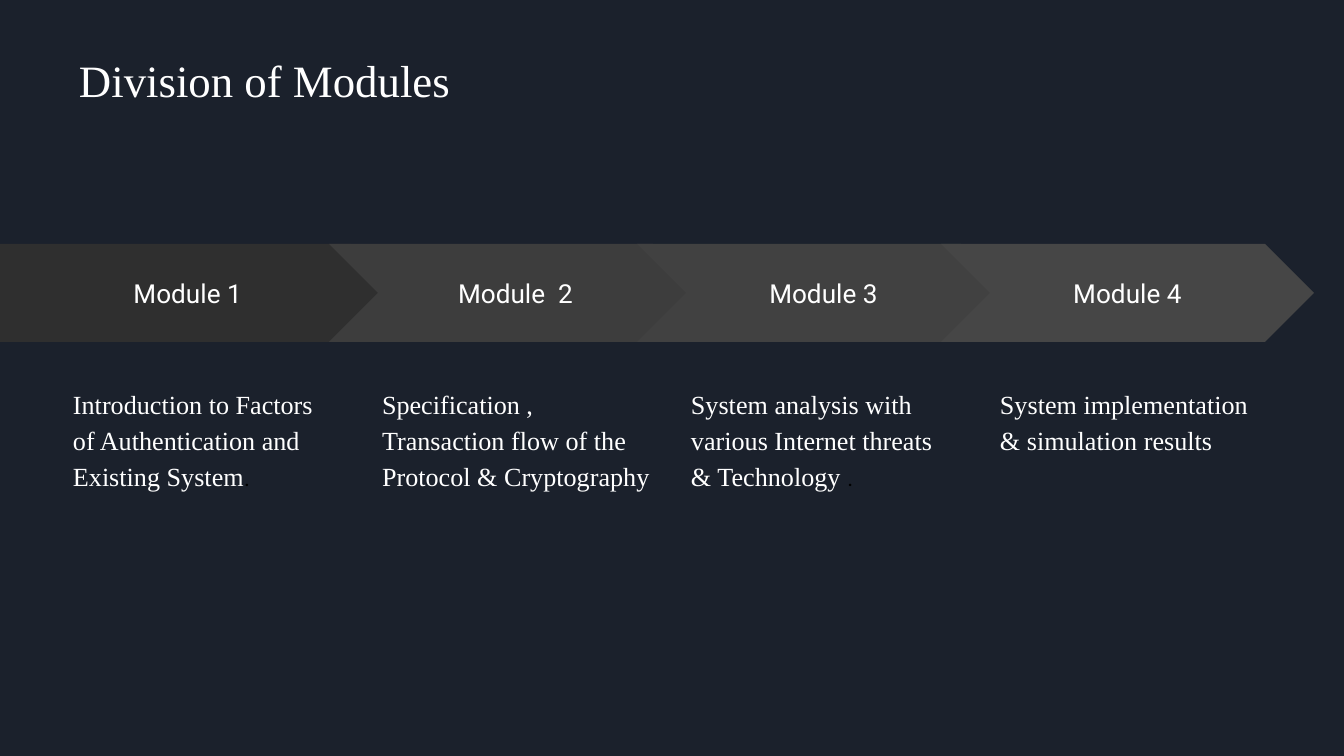
from pptx import Presentation
from pptx.dml.color import RGBColor
from pptx.enum.shapes import MSO_SHAPE
from pptx.enum.text import MSO_ANCHOR, MSO_AUTO_SIZE, PP_ALIGN
from pptx.util import Pt

EMU_PER_PX = 914400 / 134.4
LEFT, CENTER = PP_ALIGN.LEFT, PP_ALIGN.CENTER
TOP, MIDDLE = MSO_ANCHOR.TOP, MSO_ANCHOR.MIDDLE
PENTAGON, CHEVRON = MSO_SHAPE.PENTAGON, MSO_SHAPE.CHEVRON
NO_AUTOFIT = MSO_AUTO_SIZE.NONE

SERIF, SANS = "Times New Roman", "Roboto"
COLORS = {
    "background": "1B212C",
    "text": "FFFFFF",
    "stop": "000000",
    "module 1": "2F2F2F",
    "module 2": "3D3D3D",
    "module 3": "414141",
    "module 4": "464646",
}

INSET = 13
ARROW_TOP, ARROW_HEIGHT = 244, 98
BODY_LEFT, BODY_PITCH = 60, 309
BODY_TOP, BODY_HEIGHT = 371, 384

# label, outline, arrow left, arrow width, body width, body text, dark full stop
MODULES = [
    ("Module 1", PENTAGON, 0, 400, 280,
     "Introduction to Factors of Authentication and Existing System", "."),
    ("Module  2", CHEVRON, 329, 373, 302,
     "Specification , Transaction flow of the Protocol & Cryptography", ""),
    ("Module 3", CHEVRON, 637, 373, 280,
     "System analysis with various Internet threats & Technology ", "."),
    ("Module 4", CHEVRON, 941, 373, 280,
     "System implementation & simulation results", ""),
]


def px(length):
    return round(length * EMU_PER_PX)


def rgb(name):
    return RGBColor.from_string(COLORS[name])


def set_frame(box, anchor=TOP, align=LEFT, spacing=1.0):
    """Prepare the text frame of a box and return its first paragraph."""
    frame = box.text_frame
    frame.word_wrap = True
    frame.auto_size = NO_AUTOFIT
    frame.vertical_anchor = anchor
    frame.margin_left = frame.margin_right = px(INSET)
    frame.margin_top = frame.margin_bottom = px(INSET)
    para = frame.paragraphs[0]
    para.alignment = align
    para.line_spacing = spacing
    return para


def add_text(para, text, size=14, font=SERIF, color="text"):
    span = para.add_run()
    span.text = text
    span.font.size = Pt(size)
    span.font.name = font
    span.font.color.rgb = rgb(color)


def set_title(page, text):
    title = page.shapes.title
    title.left, title.top = px(66), px(40)
    title.width, title.height = px(1035), px(134)
    add_text(set_frame(title), text, size=24)


def add_arrow(group, outline, left, width, label, color):
    arrow = group.shapes.add_shape(
        outline, px(left), px(ARROW_TOP), px(width), px(ARROW_HEIGHT))
    arrow.adjustments[0] = 0.5
    arrow.shadow.inherit = False
    arrow.fill.solid()
    arrow.fill.fore_color.rgb = rgb(color)
    arrow.line.fill.background()
    add_text(set_frame(arrow, MIDDLE, CENTER), label, font=SANS)


def add_body(group, left, width, text, stop):
    body = group.shapes.add_textbox(
        px(left), px(BODY_TOP), px(width), px(BODY_HEIGHT))
    para = set_frame(body, spacing=1.15)
    add_text(para, text)
    if stop:
        add_text(para, stop, size=12, font=SANS, color="stop")


def main():
    deck = Presentation()
    deck.slide_width, deck.slide_height = px(1344), px(756)
    page = deck.slides.add_slide(deck.slide_layouts.get_by_name("Title Only"))
    page.background.fill.solid()
    page.background.fill.fore_color.rgb = rgb("background")

    set_title(page, "Division of Modules")
    for index, module in enumerate(MODULES):
        label, outline, left, width, body_width, text, stop = module
        group = page.shapes.add_group_shape()
        add_arrow(group, outline, left, width, label, f"module {index + 1}")
        add_body(group, BODY_LEFT + index * BODY_PITCH, body_width, text, stop)

    deck.save("out.pptx")


if __name__ == "__main__":
    main()
